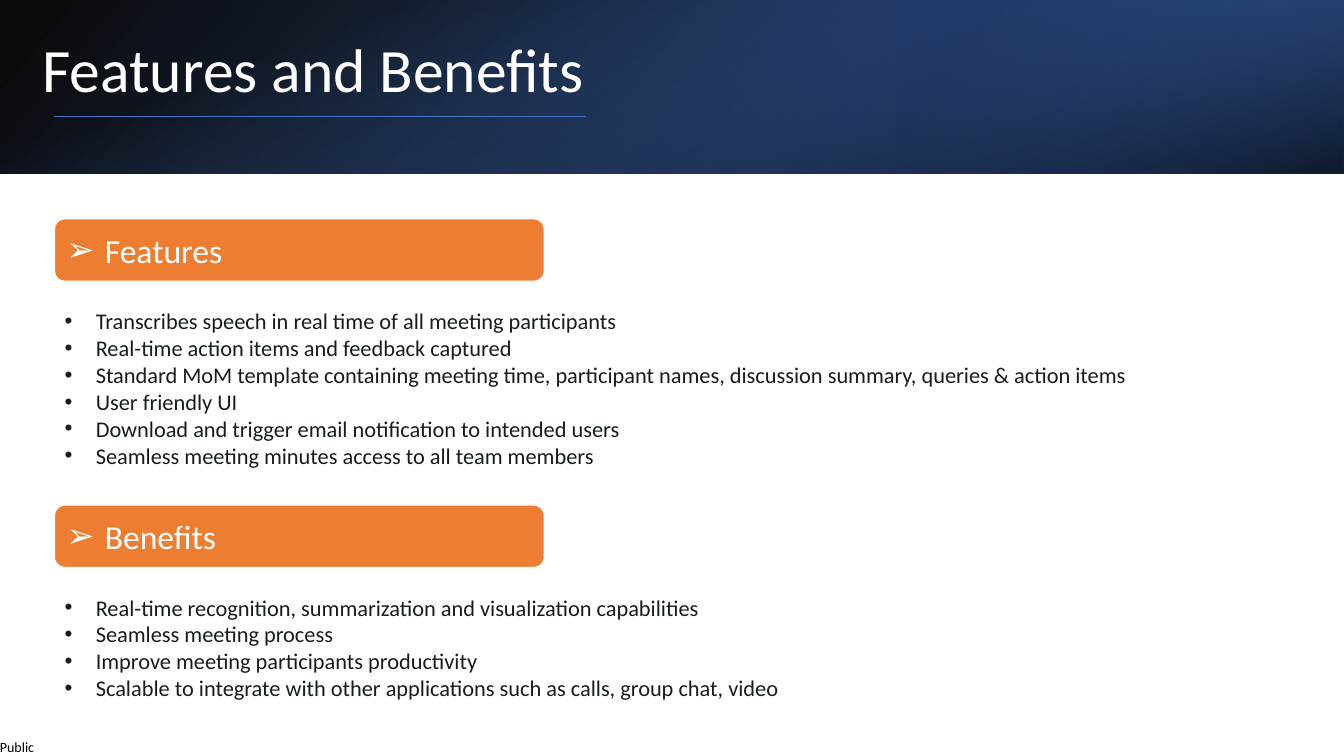
from lxml import etree
from pptx import Presentation
from pptx.dml.color import RGBColor
from pptx.enum.shapes import MSO_CONNECTOR, MSO_SHAPE
from pptx.enum.text import MSO_ANCHOR, MSO_AUTO_SIZE, PP_ALIGN
from pptx.oxml.ns import qn
from pptx.util import Inches, Pt

FONT = "Calibri"
WHITE, INK, ORANGE, BLUE = "FFFFFF", "151D21", "ED7D31", "4472C4"

FEATURES = [
    "Transcribes speech in real time of all meeting participants",
    "Real-time action items and feedback captured",
    "Standard MoM template containing meeting time, participant names, "
    "discussion summary, queries & action items",
    "User friendly UI",
    "Download and trigger email notification to intended users",
    "Seamless meeting minutes access to all team members",
]
BENEFITS = [
    "Real-time recognition, summarization and visualization capabilities",
    "Seamless meeting process",
    "Improve meeting participants productivity",
    "Scalable to integrate with other applications such as calls, group chat, video",
]


def color(hex_code):
    """Turn a hex string into a colour."""
    return RGBColor.from_string(hex_code)


def place(shape, left, top, width, height):
    """Set the box of a shape in inches."""
    shape.left, shape.top = Inches(left), Inches(top)
    shape.width, shape.height = Inches(width), Inches(height)


def write(shape, lines, size, hex_code, anchor=MSO_ANCHOR.TOP, bullet=None, indent=0):
    """Fill a shape with left-aligned paragraphs, bulleted on request."""
    frame = shape.text_frame
    frame.text = "\n".join(lines)
    frame.word_wrap = True
    frame.auto_size = MSO_AUTO_SIZE.NONE
    frame.vertical_anchor = anchor
    for paragraph in frame.paragraphs:
        paragraph.alignment = PP_ALIGN.LEFT
        paragraph.space_before = Pt(0)
        font = paragraph.runs[0].font
        font.name, font.size = FONT, Pt(size)
        font.color.rgb = color(hex_code)
        if bullet:
            props = paragraph._p.get_or_add_pPr()
            props.set("marL", str(Inches(indent)))
            props.set("indent", str(-Inches(indent)))
            etree.SubElement(props, qn("a:buFont"), typeface="Arial")
            etree.SubElement(props, qn("a:buChar"), char=bullet)
    return frame


def add_gradient(slide, box, angle, stops):
    """Add a borderless rectangle with a clockwise two-stop gradient."""
    panel = slide.shapes.add_shape(MSO_SHAPE.RECTANGLE, *map(Inches, box))
    panel.shadow.inherit = False
    panel.line.fill.background()
    panel.fill.gradient()
    panel.fill.gradient_angle = 360 - angle
    for stop, (position, hex_code, _) in zip(panel.fill.gradient_stops, stops):
        stop.position = position
        stop.color.rgb = color(hex_code)
    tints = panel._element.spPr.findall(".//" + qn("a:srgbClr"))
    for tint, (_, _, opacity) in zip(tints, stops):
        for child in list(tint):
            tint.remove(child)
        etree.SubElement(tint, qn("a:alpha"), val=str(round(opacity * 100000)))


def add_header(slide, left, top, width, height):
    """Build the gradient banner with the title and its underline."""
    banner = (left, top, width, height)
    right_third = (left + width * 2 / 3, top, width / 3, height)
    add_gradient(slide, banner, 40, [(0, "000000", 0.96), (1, "2F5597", 1)])
    add_gradient(slide, right_third, 40, [(0.19, "203864", 0.68), (1, BLUE, 0.79)])
    add_gradient(slide, banner, 70, [(0.23, BLUE, 0), (0.99, "000000", 0.74)])

    title = slide.shapes.title
    slide.shapes._spTree.append(title._element)
    place(title, left + 0.32, top + 0.28, 10.98, 0.87)
    frame = write(title, ["Features and Benefits"], 44, WHITE, MSO_ANCHOR.MIDDLE)
    frame.paragraphs[0].line_spacing = 0.9

    rule_y = Inches(top + 1.15)
    rule = slide.shapes.add_connector(
        MSO_CONNECTOR.STRAIGHT, Inches(left + 0.54), rule_y, Inches(left + 5.81), rule_y)
    rule.line.color.rgb = color(BLUE)
    rule.line.width = Pt(0.5)
    etree.SubElement(rule._element.spPr, qn("a:effectLst"))


def add_section(slide, body, heading, items, left, top, width, height):
    """Build an orange heading bar with its bulleted list below."""
    bar = slide.shapes.add_shape(
        MSO_SHAPE.ROUNDED_RECTANGLE, Inches(left), Inches(top), Inches(4.86), Inches(0.62))
    bar.shadow.inherit = False
    bar.fill.solid()
    bar.fill.fore_color.rgb = color(ORANGE)
    bar.line.color.rgb = color(WHITE)
    bar.line.width = Pt(1)
    frame = write(bar, [heading], 24, WHITE, MSO_ANCHOR.MIDDLE, "➢", 0.38)
    frame.margin_left = frame.margin_right = Inches(0.09)

    slide.shapes._spTree.append(body._element)
    place(body, left, top + 0.83, width, height - 0.83)
    write(body, items, 16, INK, bullet="•", indent=0.31)


def add_label(slide, left, top, width, height):
    """Add the classification label."""
    label = slide.shapes.add_textbox(*map(Inches, (left, top, width, height)))
    frame = write(label, ["Public"], 10, "000000")
    frame.word_wrap = False
    frame.margin_left = frame.margin_right = frame.margin_top = frame.margin_bottom = 0


def main():
    """Build and save the slide."""
    deck = Presentation()
    deck.slide_width, deck.slide_height = Inches(13.33), Inches(7.5)
    slide = deck.slides.add_slide(deck.slide_layouts.get_by_name("Two Content"))
    _, features, benefits = slide.placeholders
    add_label(slide, 0, 7.33, 0.37, 0.17)
    add_header(slide, 0, 0, 13.33, 1.72)
    add_section(slide, features, "Features", FEATURES, 0.54, 2.17, 10.97, 2.85)
    add_section(slide, benefits, "Benefits", BENEFITS, 0.54, 5.01, 10.97, 2.4)
    deck.save("out.pptx")


main()
